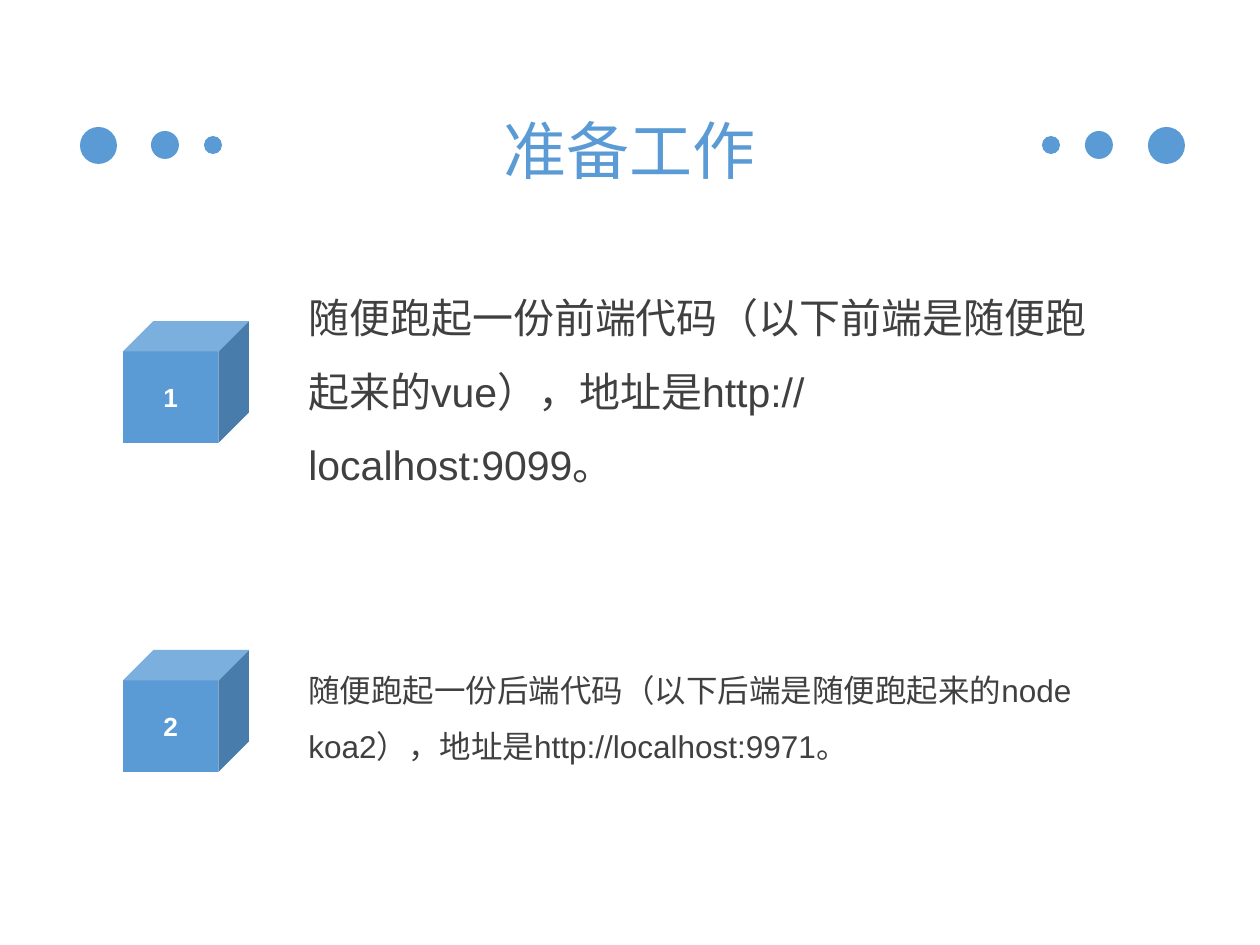
from dataclasses import dataclass
from typing import Any

from pptx import Presentation
from pptx.dml.color import RGBColor
from pptx.enum.shapes import MSO_SHAPE as Preset
from pptx.enum.text import MSO_ANCHOR as Anchor, MSO_AUTO_SIZE as AutoSize, PP_ALIGN as Align
from pptx.util import Pt

PX = 914400 / 126
COLORS = {"accent": "5B9BD5", "body": "404040", "number": "FFFFFF"}
DOT_MIDDLE = 145


@dataclass(frozen=True)
class Dot:
    left: int
    size: int


@dataclass(frozen=True)
class Step:
    number: str
    instruction: str
    cube_top: int
    text_top: int
    text_size: float


DOTS = [Dot(80, 37), Dot(151, 28), Dot(204, 18),
        Dot(1042, 18), Dot(1085, 28), Dot(1148, 37)]
STEPS = [
    Step("1", "随便跑起一份前端代码（以下前端是随便跑起来的vue），地址是http://localhost:9099。", 321, 296, 23.4),
    Step("2", "随便跑起一份后端代码（以下后端是随便跑起来的node koa2），地址是http://localhost:9971。", 650, 626, 18),
]


def emu(*lengths: int) -> list[int]:
    return [round(length * PX) for length in lengths]


def apply(target: Any, values: dict[str, Any]) -> None:
    for name, value in values.items():
        setattr(target, name, value)


def write(holder: Any, wording: str, color: str, size: float, bold: bool = False,
          align: Any = Align.LEFT, spacing: float = 1.0) -> None:
    frame = holder.text_frame
    frame.text = wording
    apply(frame, {"word_wrap": True, "auto_size": AutoSize.NONE, "vertical_anchor": Anchor.MIDDLE})
    paragraph = frame.paragraphs[0]
    apply(paragraph, {"alignment": align, "line_spacing": spacing})
    font = paragraph.runs[0].font
    apply(font, {"name": "Arial", "size": Pt(size), "bold": bold})
    font.color.rgb = RGBColor.from_string(COLORS[color])


def add_solid(slide: Any, preset: Any, left: int, top: int, width: int, height: int) -> Any:
    solid = slide.shapes.add_shape(preset, *emu(left, top, width, height))
    solid.shadow.inherit = False
    solid.fill.solid()
    solid.fill.fore_color.rgb = RGBColor.from_string(COLORS["accent"])
    solid.line.fill.background()
    return solid


def add_dot(slide: Any, dot: Dot) -> None:
    add_solid(slide, Preset.OVAL, dot.left, DOT_MIDDLE - dot.size // 2, dot.size, dot.size)


def add_step(slide: Any, step: Step) -> None:
    cube = add_solid(slide, Preset.CUBE, 123, step.cube_top, 126, 122)
    write(cube, step.number, "number", 15, bold=True, align=Align.CENTER)
    instruction = slide.shapes.add_textbox(*emu(296, step.text_top, 804, 165))
    write(instruction, step.instruction, "body", step.text_size, spacing=1.5)


def main() -> None:
    deck = Presentation()
    apply(deck, dict(zip(("slide_width", "slide_height"), emu(1260, 945))))
    slide = deck.slides.add_slide(deck.slide_layouts[5])
    heading = slide.shapes.title
    apply(heading, dict(zip(("left", "top", "width", "height"), emu(229, 50, 802, 183))))
    write(heading, "准备工作", "accent", 36, align=Align.CENTER, spacing=1.2)
    for dot in DOTS:
        add_dot(slide, dot)
    for step in STEPS:
        add_step(slide, step)
    deck.save("out.pptx")


if __name__ == "__main__":
    main()
